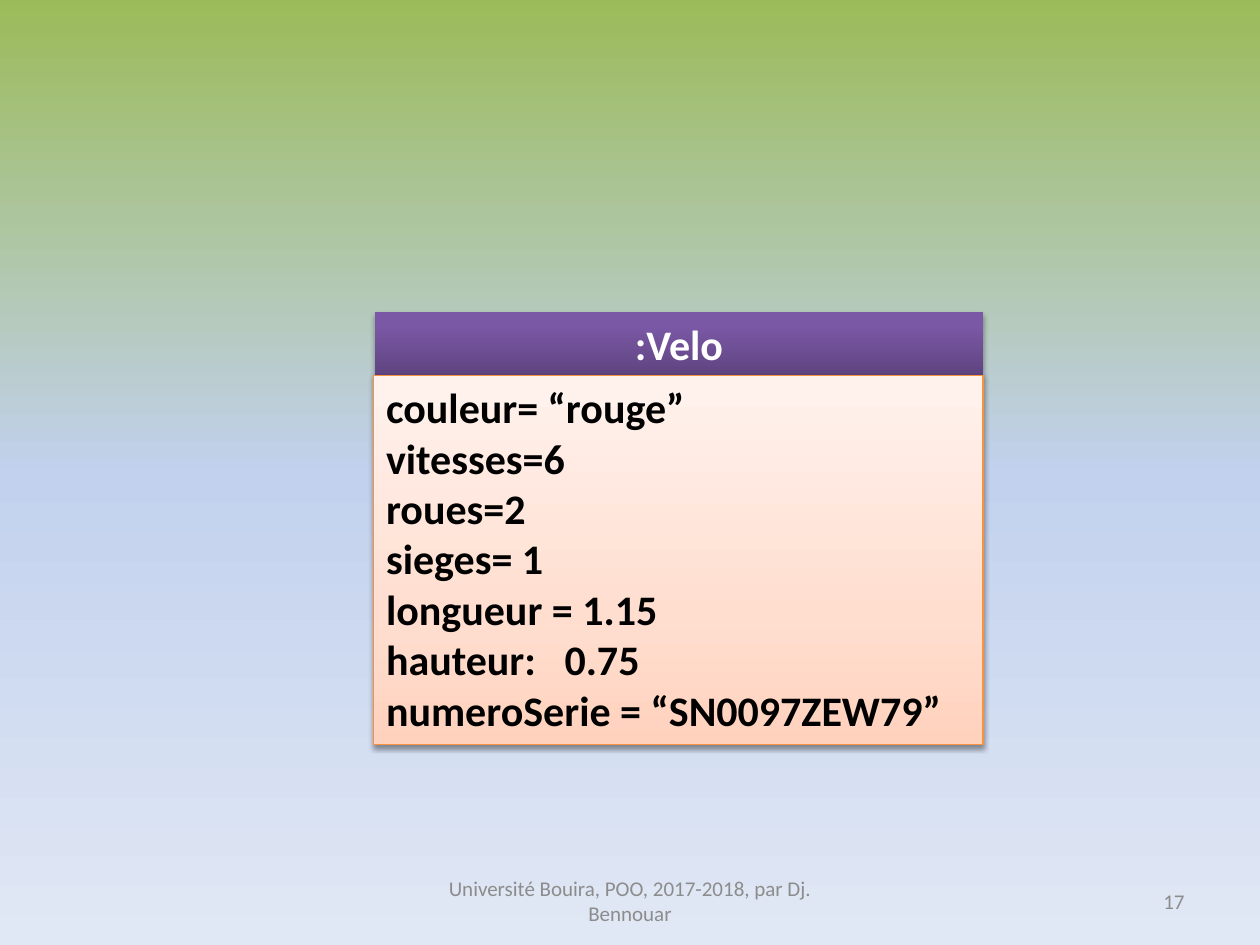
from dataclasses import dataclass

from lxml import etree
from pptx import Presentation
from pptx.dml.color import RGBColor
from pptx.enum.shapes import MSO_SHAPE as SHAPE
from pptx.enum.text import MSO_ANCHOR as ANCHOR, PP_ALIGN as ALIGN
from pptx.oxml import parse_xml
from pptx.oxml.ns import nsdecls, qn
from pptx.util import Pt


@dataclass(frozen=True)
class Theme:
    font: str = "Calibri"
    class_size: int = 24
    footer_size: int = 12
    footer_text: str = "8C8C8C"
    name_text: str = "FFFFFF"
    field_text: str = "000000"
    border: str = "F69240"
    shadow: str = "000000"
    background: tuple = ((0, "9BBB59"), (50, "C2D1ED"), (100, "E1E8F5"))
    name_fill: tuple = ((0, "5F4480"), (80, "7B58A6"), (100, "7C57A8"))
    field_fill: tuple = ((0, "FFD2BD"), (35, "FFDED0"), (100, "FFF2ED"))


theme = Theme()


def set_gradient(fill, element, stops, angle):
    fill.gradient()
    fill.gradient_angle = angle
    stop_list = next(element.iter(qn("a:gsLst")))
    for stop in list(stop_list):
        stop_list.remove(stop)
    for position, color in stops:
        stop = etree.SubElement(stop_list, qn("a:gs"), pos=str(position * 1000))
        etree.SubElement(stop, qn("a:srgbClr"), val=color)


def write_lines(shape, lines, size, color, alignment, anchor, bold=False):
    frame = shape.text_frame
    frame.word_wrap = True
    frame.vertical_anchor = anchor
    for index, line in enumerate(lines):
        paragraph = frame.add_paragraph() if index else frame.paragraphs[0]
        paragraph.alignment = alignment
        run = paragraph.add_run()
        run.text = line
        run.font.name = theme.font
        run.font.size = Pt(size)
        run.font.bold = bold
        run.font.color.rgb = RGBColor.from_string(color)


presentation = Presentation()
presentation.slide_width, presentation.slide_height = Pt(720), Pt(540)
slide = presentation.slides.add_slide(presentation.slide_layouts[6])

# Background, running from top to bottom
set_gradient(slide.background.fill, slide.element, theme.background, 270)

# Footer and slide number
footers = [
    (246, 228, "Université Bouira, POO, 2017-2018, par Dj. Bennouar", ALIGN.CENTER),
    (516, 168, "17", ALIGN.RIGHT),
]
for left, width, text, alignment in footers:
    box = slide.shapes.add_textbox(Pt(left), Pt(500.5), Pt(width), Pt(28.75))
    write_lines(box, [text], theme.footer_size, theme.footer_text, alignment, ANCHOR.MIDDLE)

# Object diagram: name above its field values
fields = [
    "couleur= “rouge”",
    "vitesses=6",
    "roues=2",
    "sieges= 1",
    "longueur = 1.15",
    "hauteur:\t0.75",
    "numeroSerie = “SN0097ZEW79”",
]
parts = [
    ((214.25, 178.2, 347.5, 36.35), [":Velo"], theme.name_fill, theme.name_text,
     ALIGN.CENTER, None, 35, 1.8),
    ((213.5, 214.55, 348.25, 210.75), fields, theme.field_fill, theme.field_text,
     ALIGN.LEFT, theme.border, 38, 1.6),
]
diagram = slide.shapes.add_group_shape()
for bounds, lines, stops, color, alignment, border, opacity, distance in parts:
    shape = diagram.shapes.add_shape(SHAPE.RECTANGLE, *map(Pt, bounds))
    set_gradient(shape.fill, shape.element, stops, 90)
    if border:
        shape.line.color.rgb = RGBColor.from_string(border)
        shape.line.width = Pt(0.75)
    else:
        shape.line.fill.background()
    write_lines(shape, lines, theme.class_size, color, alignment, ANCHOR.TOP, bold=True)

    # Soft shadow straight below
    shape.shadow.inherit = False
    effects = shape.element.spPr.find(qn("a:effectLst"))
    effects.append(parse_xml(
        f'<a:outerShdw {nsdecls("a")} blurRad="{Pt(3.1)}" dist="{Pt(distance)}" '
        f'dir="5400000" rotWithShape="0"><a:srgbClr val="{theme.shadow}">'
        f'<a:alpha val="{opacity * 1000}"/></a:srgbClr></a:outerShdw>'))

# Tab stop that sets the value of hauteur apart
for paragraph in shape.text_frame.paragraphs:
    if "\t" in paragraph.text:
        properties = paragraph.runs[0].font and paragraph._p.get_or_add_pPr()
        tabs = etree.SubElement(properties, qn("a:tabLst"))
        etree.SubElement(tabs, qn("a:tab"), pos=str(Pt(102)), algn="l")

presentation.save("out.pptx")
